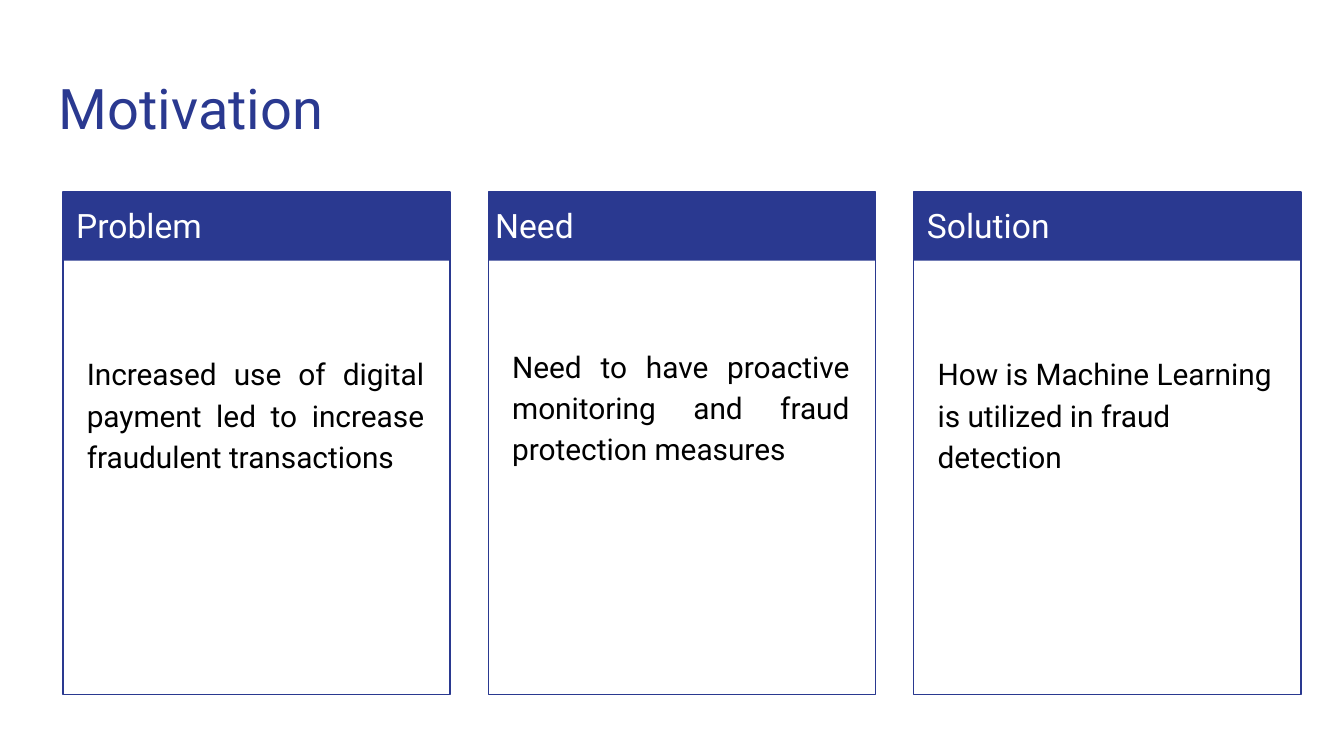
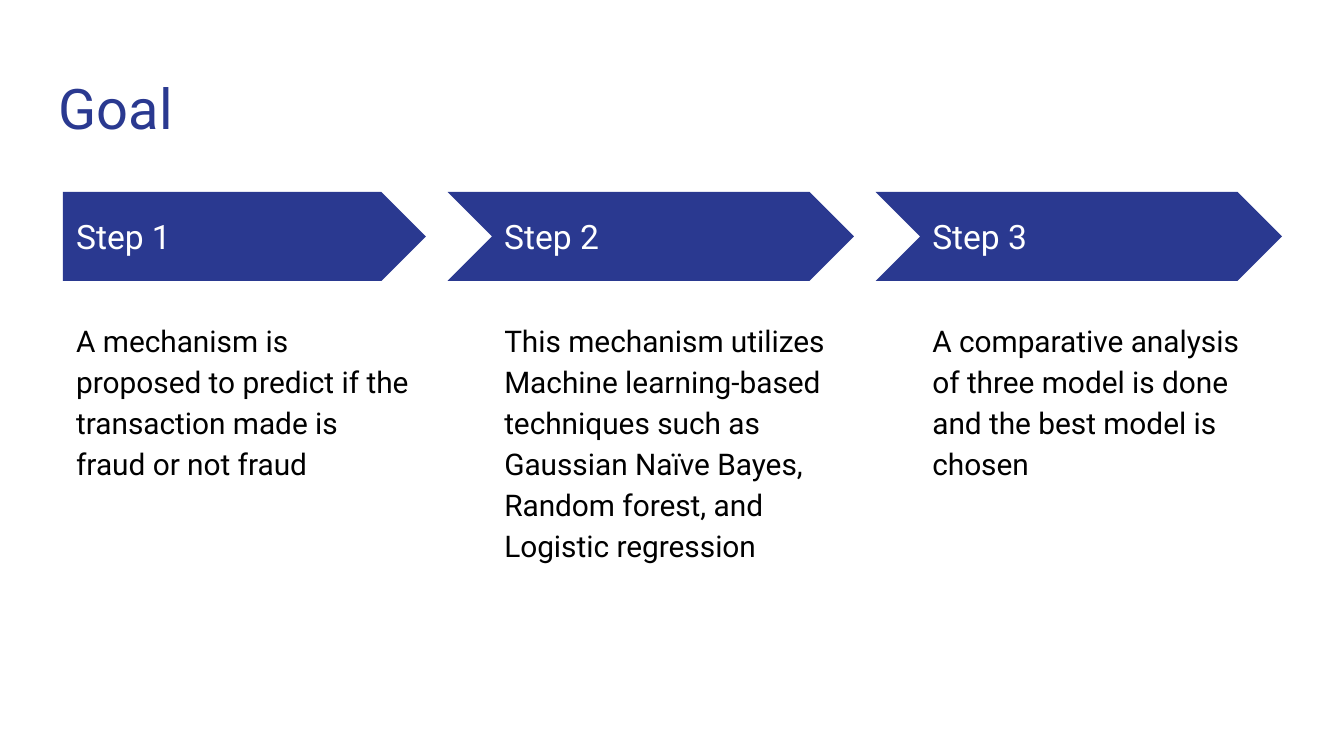
from collections import namedtuple

from lxml import etree
from pptx import Presentation
from pptx.dml.color import RGBColor
from pptx.enum.shapes import MSO_SHAPE as Shape
from pptx.enum.text import MSO_ANCHOR as Anchor, MSO_AUTO_SIZE as AutoSize, PP_ALIGN as Align
from pptx.oxml.ns import qn
from pptx.util import Cm, Pt

Box = namedtuple("Box", "left top width height")

NAVY = RGBColor(0x2A, 0x39, 0x90)
WHITE = RGBColor(0xFF, 0xFF, 0xFF)
BLACK = RGBColor(0x00, 0x00, 0x00)
FONT = "Roboto"
INSET = 0.25
COMPARISON_LAYOUT = 4

TITLE_BOX = Box(0.86, 1.14, 23.67, 1.68)
CARD_BOX = Box(1.19, 3.63, 7.32, 9.5)
CARD_PITCH = 8.04
BAND_HEIGHT = 1.3
STEP_BOX = Box(1.19, 3.63, 6.86, 9.48)
STEP_PITCH = 8.09
ARROW_HEIGHT = 1.68
NOTCH = 0.82

CARDS = [
    ("Problem", "Increased use of digital payment led to increase fraudulent transactions",
     Align.JUSTIFY, 0, 1.5),
    ("Need", "Need to have proactive monitoring and fraud protection measures",
     Align.JUSTIFY, -0.12, 1.35),
    ("Solution", "How is Machine Learning is utilized in fraud detection",
     Align.LEFT, 0, 1.5),
]
STEPS = [
    ("Step 1", "A mechanism is proposed to predict if the transaction made is fraud or not fraud"),
    ("Step 2", "This mechanism utilizes Machine learning-based techniques such as "
               "Gaussian Naïve Bayes, Random forest, and Logistic regression"),
    ("Step 3", "A comparative analysis of three model is done and the best model is chosen"),
]


def place(item, box):
    item.left, item.top, item.width, item.height = (Cm(length) for length in box)


def write(item, text, size, color, align=Align.LEFT, anchor=Anchor.TOP,
          spacing=1.0, top_inset=INSET):
    frame = item.text_frame
    frame.text = text
    frame.word_wrap = True
    frame.auto_size = AutoSize.NONE
    frame.vertical_anchor = anchor
    frame.margin_left = frame.margin_right = frame.margin_bottom = Cm(INSET)
    frame.margin_top = Cm(top_inset)
    para = frame.paragraphs[0]
    para.alignment = align
    para.line_spacing = spacing
    para.space_before = Pt(0)
    span = para.runs[0]
    span.font.name = FONT
    span.font.size = Pt(size)
    span.font.bold = False
    span.font.color.rgb = color


def write_body(body, box, text, **style):
    place(body, box)
    write(body, text, 16, BLACK, spacing=1.15, **style)
    properties = body.text_frame.paragraphs[0]._p.get_or_add_pPr()
    properties.set("marL", "0")
    properties.set("indent", "0")
    etree.SubElement(properties, qn("a:buNone"))


def add_label(page, box, text, anchor=Anchor.TOP):
    label = page.shapes.add_textbox(*(Cm(length) for length in box))
    write(label, text, 18, WHITE, anchor=anchor)


def add_block(page, kind, box, filled=True):
    block = page.shapes.add_shape(kind, *(Cm(length) for length in box))
    block.shadow.inherit = False
    if filled:
        block.fill.solid()
        block.fill.fore_color.rgb = NAVY
        block.line.fill.background()
    else:
        block.fill.background()
        block.line.color.rgb = NAVY
        block.line.width = Pt(0.75)


def add_page(deck, title):
    page = deck.slides.add_slide(deck.slide_layouts[COMPARISON_LAYOUT])
    place(page.shapes.title, TITLE_BOX)
    write(page.shapes.title, title, 30, NAVY)
    bodies = [item for item in page.placeholders if item.placeholder_format.idx > 0]
    for spare in bodies[3:]:
        spare.element.getparent().remove(spare.element)
    return page, bodies[:3]


def add_card(page, body, box, heading, text, align, label_shift, top_inset):
    add_block(page, Shape.RECTANGLE, box._replace(height=BAND_HEIGHT))
    add_block(page, Shape.RECTANGLE, box, filled=False)
    add_label(page, Box(box.left + label_shift, box.top, 8, BAND_HEIGHT), heading)
    body_box = Box(box.left + 0.2, box.top + 1.5, box.width - 0.44, box.height - 1.73)
    write_body(body, body_box, text, align=align, top_inset=top_inset)


def add_step(page, body, box, heading, text, notch):
    kind = Shape.CHEVRON if notch else Shape.PENTAGON
    add_block(page, kind, Box(box.left - notch, box.top, box.width + notch, ARROW_HEIGHT))
    label_box = Box(box.left, box.top + 0.41, 6.27, 0.86)
    add_label(page, label_box, heading, Anchor.MIDDLE)
    body_box = box._replace(top=box.top + 2.11, height=box.height - 2.11)
    write_body(body, body_box, text)


def add_motivation(deck):
    page, bodies = add_page(deck, "Motivation")
    for index, (body, card) in enumerate(zip(bodies, CARDS)):
        box = CARD_BOX._replace(left=CARD_BOX.left + index * CARD_PITCH)
        add_card(page, body, box, *card)


def add_goal(deck):
    page, bodies = add_page(deck, "Goal")
    for index, (body, step) in enumerate(zip(bodies, STEPS)):
        box = STEP_BOX._replace(left=STEP_BOX.left + index * STEP_PITCH)
        add_step(page, body, box, *step, notch=NOTCH if index else 0)


def main():
    deck = Presentation()
    deck.slide_width = Cm(25.4)
    deck.slide_height = Cm(14.29)
    add_motivation(deck)
    add_goal(deck)
    deck.save("out.pptx")


if __name__ == "__main__":
    main()
